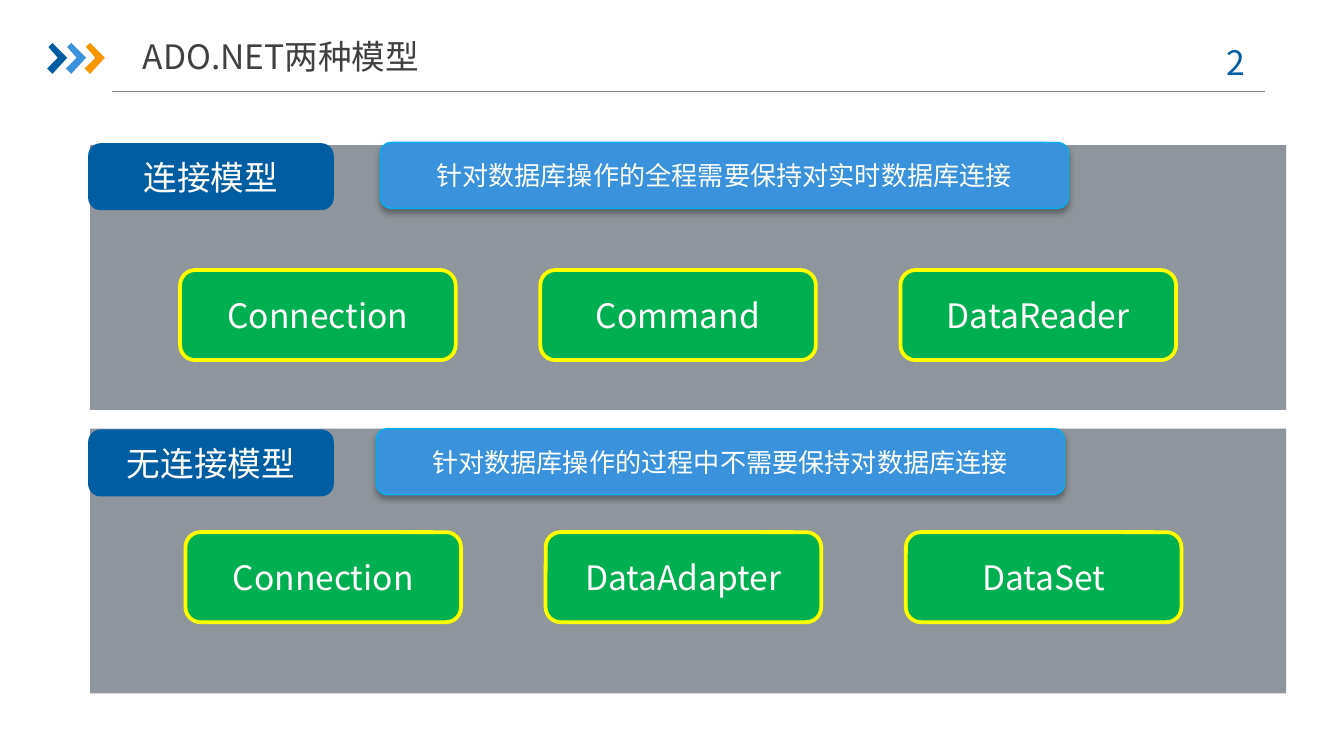
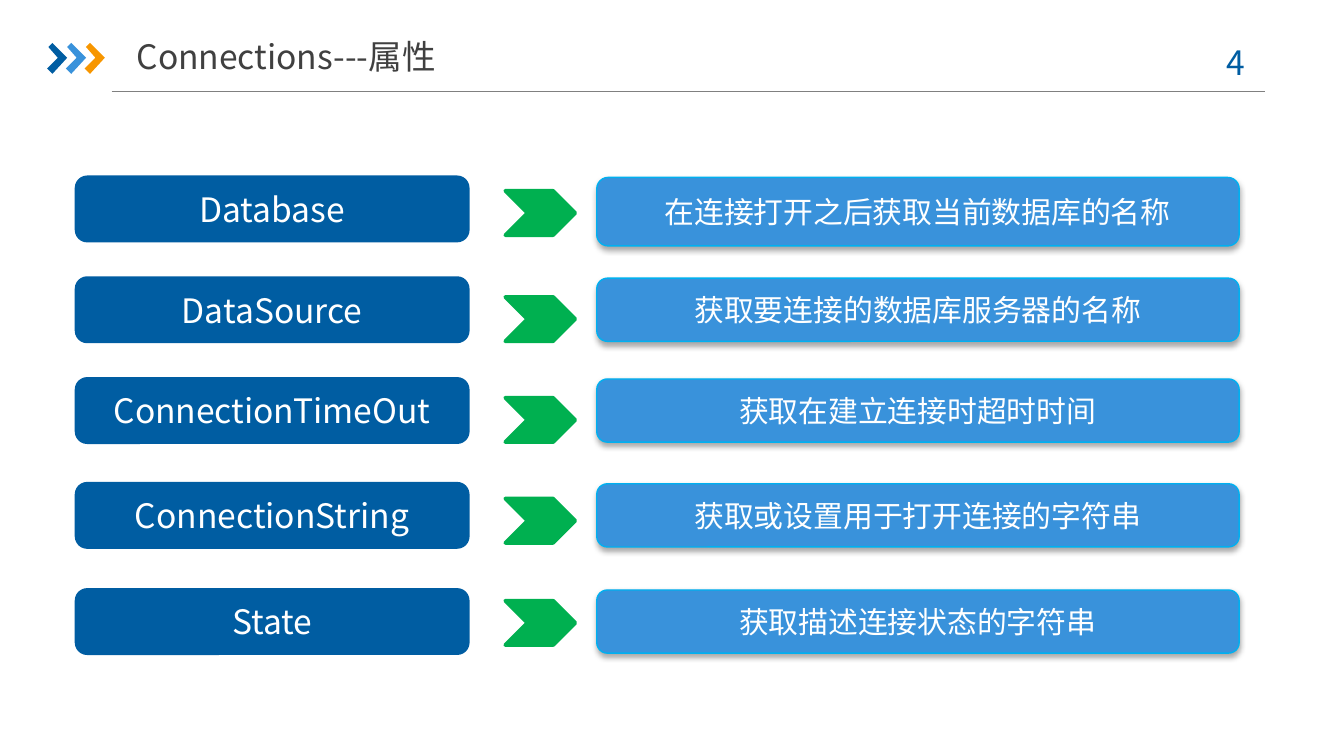
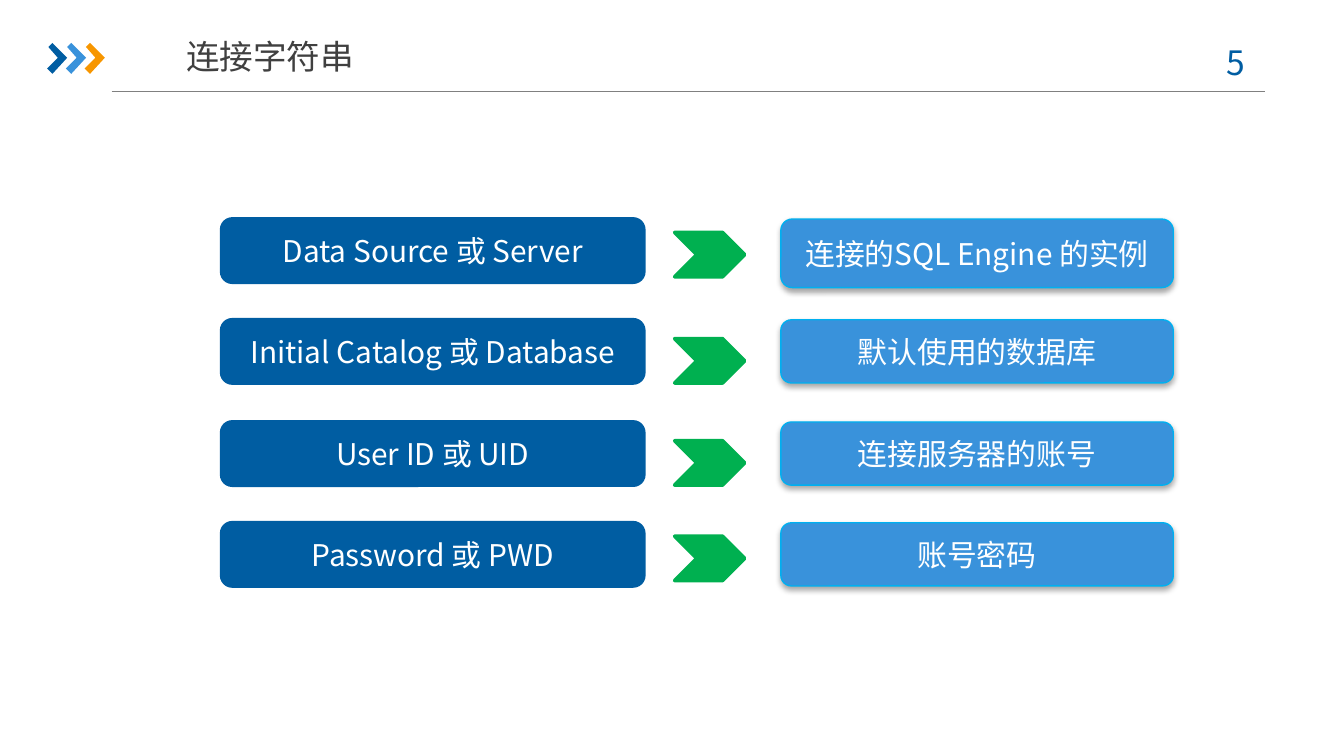
from dataclasses import dataclass

import pptx
import pptx.dml.color
import pptx.enum.shapes
import pptx.enum.text
import pptx.oxml.ns
import pptx.util
from lxml import etree

Inches = pptx.util.Inches
Pt = pptx.util.Pt
Preset = pptx.enum.shapes.MSO_SHAPE
Holder = pptx.enum.shapes.PP_PLACEHOLDER
Anchor = pptx.enum.text.MSO_ANCHOR
qn = pptx.oxml.ns.qn


@dataclass(frozen=True)
class Theme:
    font: str = "Noto Sans CJK SC"
    navy: str = "005DA2"
    blue: str = "3992DB"
    cyan: str = "00B0F0"
    orange: str = "F79600"
    green: str = "00B050"
    yellow: str = "FFFF00"
    panel: str = "8F959C"
    rule: str = "808080"
    heading: str = "404040"
    white: str = "FFFFFF"
    large: int = 18
    medium: int = 16
    small: int = 14


@dataclass(frozen=True)
class Box:
    left: float
    top: float
    width: float
    height: float

    def inside(self, left, top, width, height):
        """Box placed relative to this one's top left corner."""
        return Box(self.left + left, self.top + top, width, height)

    def lengths(self):
        return [Inches(value) for value in (self.left, self.top, self.width, self.height)]


THEME = Theme()


def rgb(code):
    return pptx.dml.color.RGBColor.from_string(code)


def write(shape, text, size, color, side=0.1, anchor=Anchor.MIDDLE):
    frame = shape.text_frame
    frame.word_wrap = True
    frame.auto_size = pptx.enum.text.MSO_AUTO_SIZE.NONE
    frame.vertical_anchor = anchor
    frame.margin_left = frame.margin_right = Inches(side)
    frame.margin_top = frame.margin_bottom = Inches(0.05)
    para = frame.paragraphs[0]
    para.alignment = pptx.enum.text.PP_ALIGN.CENTER
    span = para.add_run()
    span.text = text
    span.font.size = Pt(size)
    span.font.name = THEME.font
    span.font.color.rgb = rgb(color)
    for properties in shape.element.iter(qn("a:rPr")):
        etree.SubElement(properties, qn("a:ea"), typeface=THEME.font)


def paint(shape, fill, line=None, weight=2):
    shape.shadow.inherit = False
    shape.fill.solid()
    shape.fill.fore_color.rgb = rgb(fill)
    if line:
        shape.line.color.rgb = rgb(line)
        shape.line.width = Pt(weight)
    else:
        shape.line.fill.background()


def add_block(page, preset, box, fill, line=None, weight=2):
    shape = page.shapes.add_shape(preset, *box.lengths())
    paint(shape, fill, line, weight)
    return shape


def add_label(page, box, text, size=THEME.large):
    label = add_block(page, Preset.ROUNDED_RECTANGLE, box, THEME.navy, THEME.navy)
    write(label, text, size, THEME.white)


def add_detail(page, box, text, size=THEME.medium):
    """Light blue box with a soft shadow below it."""
    detail = add_block(page, Preset.ROUNDED_RECTANGLE, box, THEME.blue, THEME.cyan, 0.75)
    effects = detail.element.spPr.find(qn("a:effectLst"))
    shadow = etree.SubElement(effects, qn("a:outerShdw"), blurRad=str(Pt(3.1)),
                              dist=str(Pt(1.8)), dir="5400000", rotWithShape="0")
    black = etree.SubElement(shadow, qn("a:srgbClr"), val="000000")
    etree.SubElement(black, qn("a:alpha"), val="35000")
    write(detail, text, size, THEME.white)


def add_chevron_mark(page, box, color):
    outline = [(0.01, 0.03), (0.04, 0), (0.15, 0.11), (0.04, 0.23), (0, 0.19), (0.08, 0.11)]
    points = [(Inches(box.left + x), Inches(box.top + y)) for x, y in outline]
    builder = page.shapes.build_freeform(*points[0], scale=1.0)
    builder.add_line_segments(points[1:], close=True)
    mark = builder.convert_to_shape()
    paint(mark, color)
    return mark


def add_header_rule(page):
    rule = page.shapes.add_connector(pptx.enum.shapes.MSO_CONNECTOR.STRAIGHT,
                                     Inches(0.83), Inches(0.68), Inches(9.41), Inches(0.68))
    rule.line.color.rgb = rgb(THEME.rule)
    rule.line.width = Pt(0.75)
    etree.SubElement(rule.element.spPr, qn("a:effectLst"))
    return rule


def dress_layout(layout, page):
    """Draw the header on a page, then hand it to the layout all pages share."""
    for owner in (layout.slide_master, layout):
        for holder in list(owner.placeholders):
            if holder.placeholder_format.type in (Holder.DATE, Holder.FOOTER, Holder.SLIDE_NUMBER):
                owner.shapes.element.remove(holder.element)
    marks = Box(0.35, 0.32, 0.43, 0.23)
    header = [add_header_rule(page)]
    for index, color in enumerate((THEME.navy, THEME.blue, THEME.orange)):
        header.append(add_chevron_mark(page, marks.inside(index * 0.14, 0, 0.15, 0.23), color))
    for shape in header:
        layout.shapes.element.append(shape.element)


def add_heading(page, box, text, number):
    title = page.shapes.title
    title.left, title.top, title.width, title.height = box.lengths()
    write(title, text, THEME.large, THEME.heading, side=0)
    counter = page.shapes.add_textbox(*Box(8.86, 0.26, 0.73, 0.4).lengths())
    write(counter, f"{number} ", THEME.large, THEME.navy, anchor=Anchor.TOP)


def add_model(page, box, name, note, classes, tag_top, note_place, cards_place):
    """Panel with a name tag, a note and a row of class cards."""
    add_block(page, Preset.RECTANGLE, box, THEME.panel)
    add_label(page, box.inside(0, tag_top, 1.8, 0.47), name)
    add_detail(page, box.inside(*note_place, 5.12, 0.49), note, THEME.small)
    cards_left, cards_top = cards_place
    for index, text in enumerate(classes):
        place = box.inside(cards_left + index * 2.68, cards_top, 2.05, 0.67)
        card = add_block(page, Preset.ROUNDED_RECTANGLE, place, THEME.green, THEME.yellow)
        write(card, text, THEME.large, THEME.white)


def add_pairs(page, box, pairs, label_width, detail_width, arrow_left, label_size):
    """Rows of label, arrow and detail; each row names its top and its arrow's drop."""
    height = 0.47
    detail_left = box.width - detail_width
    for index, (top, drop, label, detail) in enumerate(pairs):
        add_label(page, box.inside(0, top, label_width, height), label, label_size)
        add_block(page, Preset.CHEVRON, box.inside(arrow_left, top + drop, 0.52, 0.33),
                  THEME.green, THEME.green)
        detail_height = height if index else 0.51
        add_detail(page, box.inside(detail_left, top, detail_width, detail_height), detail)


def fill_models(page):
    add_heading(page, Box(0.83, 0.21, 2.52, 0.42), "ADO.NET两种模型", 2)
    add_model(page, Box(0.67, 3.19, 8.9, 1.97), "无连接模型",
              "针对数据库操作的过程中不需要保持对数据库连接",
              ("Connection", "DataAdapter", "DataSet"), 0.02, (2.13, 0), (0.71, 0.77))
    add_model(page, Box(0.67, 1.08, 8.9, 1.97), "连接模型",
              "针对数据库操作的全程需要保持对实时数据库连接",
              ("Connection", "Command", "DataReader"), 0, (2.16, -0.02), (0.67, 0.93))


def fill_properties(page):
    add_heading(page, Box(0.83, 0.21, 2.6, 0.42), "Connections---属性", 4)
    pairs = (
        (0, 0.1, "Database", "在连接打开之后获取当前数据库的名称"),
        (0.75, 0.14, "DataSource", "获取要连接的数据库服务器的名称"),
        (1.5, 0.14, "ConnectionTimeOut", "获取在建立连接时超时时间"),
        (2.28, 0.11, "ConnectionString", "获取或设置用于打开连接的字符串"),
        (3.07, 0.08, "State", "获取描述连接状态的字符串"),
    )
    add_pairs(page, Box(0.57, 1.32, 8.65, 3.54), pairs, 2.91, 4.78, 3.19, THEME.large)


def fill_connection_string(page):
    add_heading(page, Box(0.91, 0.21, 2.2, 0.42), "连接字符串", 5)
    pairs = (
        (0, 0.1, "Data Source 或 Server", "连接的SQL Engine 的实例"),
        (0.75, 0.14, "Initial Catalog 或 Database", "默认使用的数据库"),
        (1.51, 0.14, "User ID 或 UID", "连接服务器的账号"),
        (2.26, 0.1, "Password 或 PWD", "账号密码"),
    )
    add_pairs(page, Box(1.65, 1.63, 7.08, 2.73), pairs, 3.14, 2.92, 3.37, THEME.medium)


def main():
    deck = pptx.Presentation()
    deck.slide_width = Inches(10)
    deck.slide_height = deck.slide_width * 9 // 16
    layout = deck.slide_layouts.get_by_name("Title Only")
    pages = [deck.slides.add_slide(layout) for _ in range(3)]
    dress_layout(layout, pages[0])
    for page, fill in zip(pages, (fill_models, fill_properties, fill_connection_string)):
        fill(page)
    deck.save("out.pptx")


if __name__ == "__main__":
    main()
